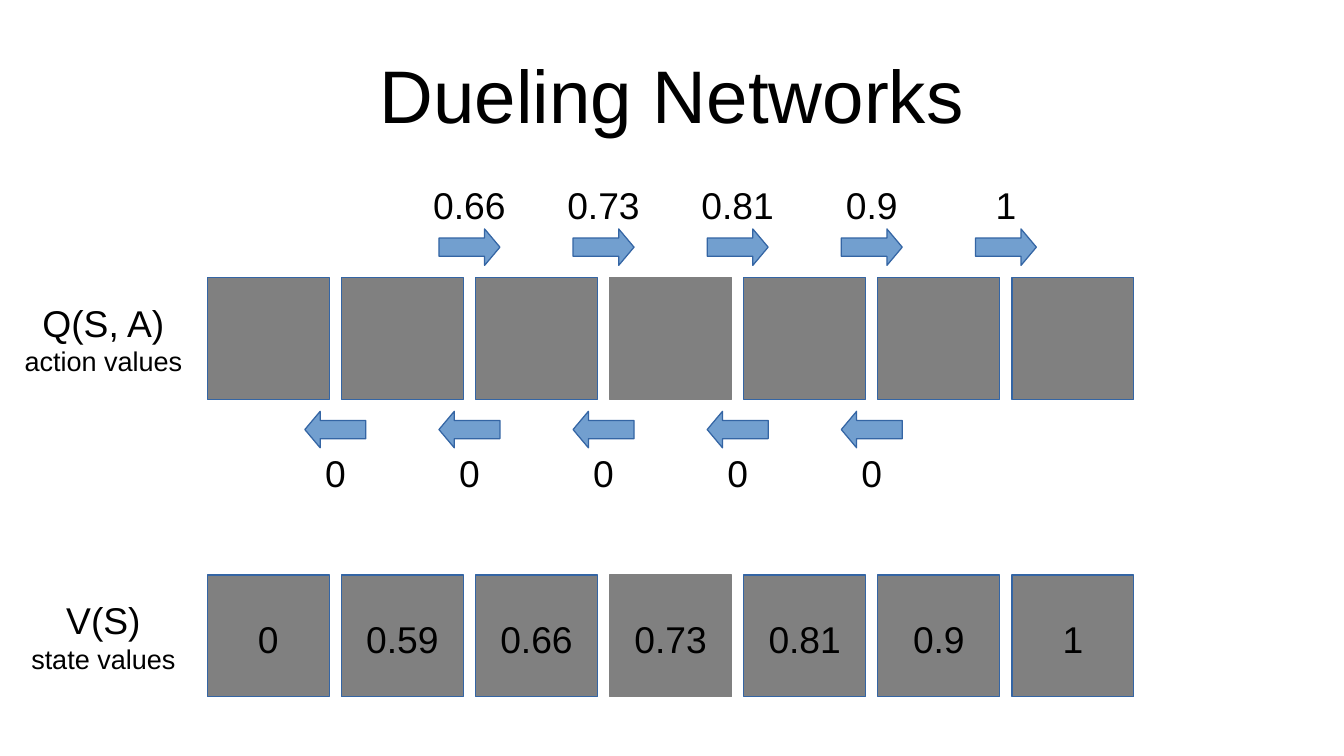
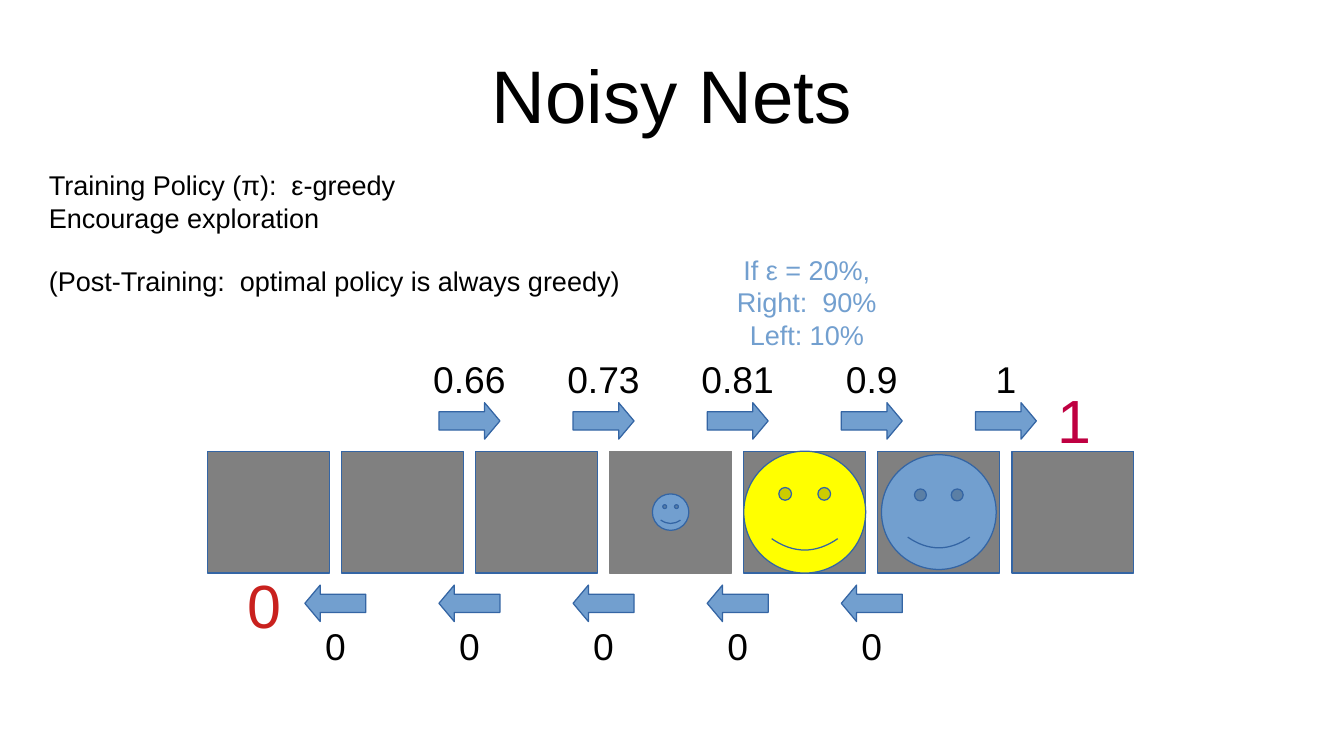
from pptx import Presentation
from pptx.dml.color import RGBColor
from pptx.enum.shapes import MSO_SHAPE
from pptx.enum.text import MSO_ANCHOR, PP_ALIGN
from pptx.util import Cm, Pt

COLORS = {
    "text": "000000",
    "cell": "808080",
    "outline": "3465A4",
    "blue": "729FCF",
    "agent": "FFFF00",
    "left_reward": "C9211E",
    "right_reward": "BF0041",
}
FRAME_FORMAT = {
    "word_wrap": True,
    "vertical_anchor": MSO_ANCHOR.MIDDLE,
    "margin_left": 0,
    "margin_right": 0,
    "margin_top": 0,
    "margin_bottom": 0,
}

# Lengths in centimetres
SLIDE_WIDTH, SLIDE_HEIGHT = 28, 15.75
CELL_COUNT, START_CELL = 7, 3
CELL, PITCH, ROW_LEFT = 2.54, 2.794, 4.32
ARROW_WIDTH, ARROW_HEIGHT = 1.27, 0.76
ARROW_GAP = 0.25
LABEL_WIDTH, LABEL_HEIGHT = 1.78, 1.5
LABEL_OFFSET = 0.77

TITLE_SIZE, REWARD_SIZE, VALUE_SIZE, NOTE_SIZE = 44, 36, 22, 16
NOTE_LINE = 18.4

RIGHT_VALUES = ["0.66", "0.73", "0.81", "0.9", "1"]
LEFT_VALUES = ["0"] * 5
STATE_VALUES = ["0", "0.59", "0.66", "0.73", "0.81", "0.9", "1"]


def rgb(color):
    return RGBColor.from_string(COLORS[color])


def set_all(target, values):
    for attribute, value in values.items():
        setattr(target, attribute, value)


def cell_left(index):
    return ROW_LEFT + index * PITCH


def gap_center(index):
    """Middle of the gap that follows a cell."""
    return cell_left(index) + (CELL + PITCH) / 2


def write(frame, lines, color="text", align=PP_ALIGN.CENTER):
    """Fill a frame with lines of (text, size, optional space before)."""
    set_all(frame, FRAME_FORMAT)
    for number, (text, size, *space) in enumerate(lines):
        paragraph = frame.add_paragraph() if number else frame.paragraphs[0]
        paragraph.text = text
        set_all(paragraph, {"alignment": align,
                            "space_before": Pt(space[0] if space else 0)})
        set_all(paragraph.font, {"name": "Arial", "size": Pt(size)})
        paragraph.font.color.rgb = rgb(color)


def add_text(slide, left, top, width, height, lines, **style):
    box = slide.shapes.add_textbox(Cm(left), Cm(top), Cm(width), Cm(height))
    write(box.text_frame, lines, **style)


def add_figure(slide, preset, left, top, width, height, fill, outline="outline"):
    figure = slide.shapes.add_shape(
        preset, Cm(left), Cm(top), Cm(width), Cm(height))
    figure.shadow.inherit = False
    figure.fill.solid()
    figure.fill.fore_color.rgb = rgb(fill)
    figure.line.color.rgb = rgb(outline)
    figure.line.width = 0
    return figure


def add_cells(slide, top, values=()):
    for index in range(CELL_COUNT):
        outline = "cell" if index == START_CELL else "outline"
        cell = add_figure(slide, MSO_SHAPE.RECTANGLE, cell_left(index), top,
                          CELL, CELL, "cell", outline)
        if values:
            write(cell.text_frame, [(values[index], VALUE_SIZE)])
            cell.text_frame.margin_top = Cm(0.1)


def add_actions(slide, preset, values, first_gap, arrow_top, label_top):
    """Draw one arrow and its action value at each gap."""
    for gap, value in enumerate(values, first_gap):
        center = gap_center(gap)
        arrow = add_figure(slide, preset, center - ARROW_WIDTH / 2, arrow_top,
                           ARROW_WIDTH, ARROW_HEIGHT, "blue")
        arrow.adjustments[1] = 0.42
        add_text(slide, center - LABEL_WIDTH / 2, label_top, LABEL_WIDTH,
                 LABEL_HEIGHT, [(value, VALUE_SIZE)])


def add_action_row(slide, top):
    """Draw the cells with moves right above and moves left below."""
    bottom = top + CELL
    above = top - ARROW_GAP - ARROW_HEIGHT
    add_cells(slide, top)
    add_actions(slide, MSO_SHAPE.RIGHT_ARROW, RIGHT_VALUES, 1, above,
                top - LABEL_OFFSET - LABEL_HEIGHT)
    add_actions(slide, MSO_SHAPE.LEFT_ARROW, LEFT_VALUES, 0,
                bottom + ARROW_GAP, bottom + LABEL_OFFSET)


def add_row_name(slide, row_top, symbol, meaning):
    add_text(slide, 0.25, row_top, 3.81, CELL,
             [(symbol, VALUE_SIZE), (meaning, NOTE_SIZE)])


def add_face(slide, index, row_top, size, fill):
    inset = (CELL - size) / 2
    add_figure(slide, MSO_SHAPE.SMILEY_FACE, cell_left(index) + inset,
               row_top + inset, size, size, fill)


def add_titled_slide(deck, title):
    slide = deck.slides.add_slide(deck.slide_layouts[6])
    add_text(slide, 1.4, 0.64, 25.2, 2.64, [(title, TITLE_SIZE)])
    return slide


def build_dueling_networks(deck):
    slide = add_titled_slide(deck, "Dueling Networks")
    action_top, state_top = 5.78, 11.98
    add_action_row(slide, action_top)
    add_cells(slide, state_top, STATE_VALUES)
    add_row_name(slide, action_top, "Q(S, A)", "action values")
    add_row_name(slide, state_top, "V(S)", "state values")


def build_noisy_nets(deck):
    slide = add_titled_slide(deck, "Noisy Nets")
    row_top = 9.4
    add_action_row(slide, row_top)
    for index, size, fill in [(START_CELL, 0.76, "blue"), (4, CELL, "agent"),
                              (5, 2.39, "blue")]:
        add_face(slide, index, row_top, size, fill)
    for left, top, reward, color in [(4.62, 11.84, "0", "left_reward"),
                                     (21.49, 7.98, "1", "right_reward")]:
        add_text(slide, left, top, LABEL_WIDTH, LABEL_HEIGHT,
                 [(reward, REWARD_SIZE)], color=color)
    add_text(slide, 1.02, 3.5, 13, 2.7, [
        ("Training Policy (π):  ε-greedy", NOTE_SIZE),
        ("Encourage exploration", NOTE_SIZE),
        ("(Post-Training:  optimal policy is always greedy)", NOTE_SIZE, NOTE_LINE),
    ], align=PP_ALIGN.LEFT)
    add_text(slide, 14.78, 5.33, 4.06, 1.93, [
        (line, NOTE_SIZE)
        for line in ("If ε = 20%,", "Right:  90%", "Left: 10%")
    ], color="blue")


def main():
    deck = Presentation()
    set_all(deck, {"slide_width": Cm(SLIDE_WIDTH),
                   "slide_height": Cm(SLIDE_HEIGHT)})
    build_dueling_networks(deck)
    build_noisy_nets(deck)
    deck.save("out.pptx")


if __name__ == "__main__":
    main()
